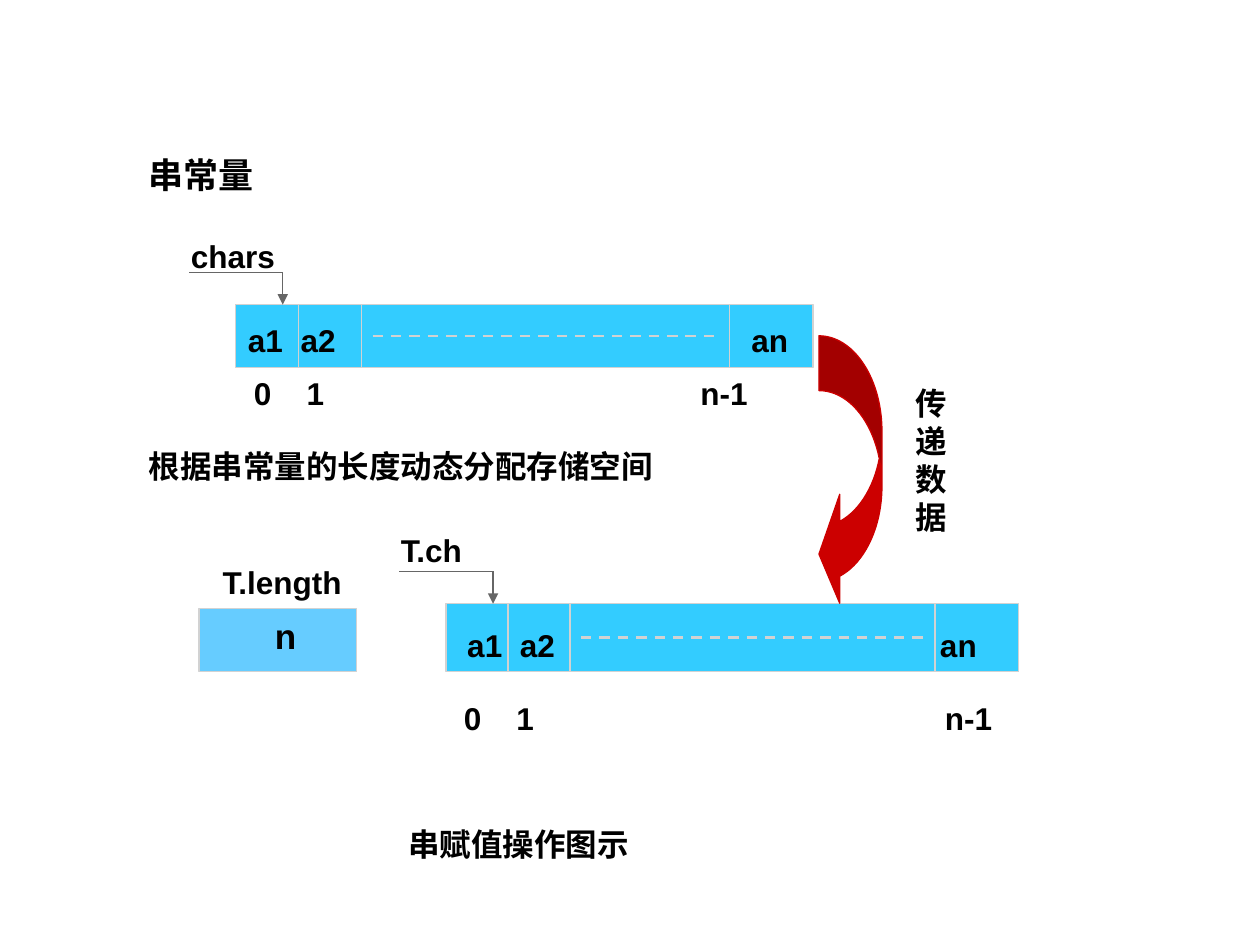
from lxml.etree import SubElement
from pptx import Presentation
from pptx.dml.color import RGBColor
from pptx.enum.dml import MSO_LINE
from pptx.enum.shapes import MSO_CONNECTOR, MSO_SHAPE
from pptx.enum.text import MSO_AUTO_SIZE, PP_ALIGN
from pptx.oxml.ns import qn
from pptx.util import Cm, Pt

BLACK = RGBColor(0x00, 0x00, 0x00)
CYAN = RGBColor(0x33, 0xCC, 0xFF)
BLUE = RGBColor(0x66, 0xCC, 0xFF)
RED = RGBColor(0xCC, 0x00, 0x00)
PALE = RGBColor(0xD2, 0xD2, 0xD2)
GREY = RGBColor(0x66, 0x66, 0x66)
HAN = "Noto Sans CJK SC"

deck = Presentation()
deck.slide_width, deck.slide_height = Cm(25.4), Cm(19.05)
slide = deck.slides.add_slide(deck.slide_layouts[6])
shapes = slide.shapes


def add_line(x1, y1, x2, y2, color, width=0.75):
    line = shapes.add_connector(MSO_CONNECTOR.STRAIGHT, Cm(x1), Cm(y1), Cm(x2), Cm(y2))
    line.line.color.rgb = color
    line.line.width = Pt(width)
    SubElement(line._element.spPr, qn("a:effectLst"))
    return line


def add_shape(kind, x, y, w, h, fill, edge):
    shape = shapes.add_shape(kind, Cm(x), Cm(y), Cm(w), Cm(h))
    shape.shadow.inherit = False
    shape.fill.solid()
    shape.fill.fore_color.rgb = fill
    shape.line.color.rgb = edge
    shape.line.width = Pt(0.75)
    return shape


# Storage bars: left, top, width, height, cell, last divider
bars = [
    (4.75, 6.14, 11.64, 1.27, 1.27, 9.96),
    (8.99, 12.17, 11.55, 1.37, 1.25, 9.86),
]
for x, y, w, h, cell, last in bars:
    add_shape(MSO_SHAPE.RECTANGLE, x, y, w, h, CYAN, PALE)
    for dx in (cell, 2 * cell, last):
        add_line(x + dx, y, x + dx, y + h, PALE)
    mid = y + h / 2
    dash = add_line(x + 2 * cell + 0.22, mid, x + last - 0.21, mid, PALE, 1.5)
    dash.line.dash_style = MSO_LINE.DASH

    # Pointer to the first cell
    tip, bend = x + 0.95, y - 0.65
    add_line(x - 0.94, bend, tip, bend, GREY)
    arrow = add_line(tip, bend, tip, y, GREY)
    SubElement(arrow.line._get_or_add_ln(), qn("a:tailEnd"), type="triangle")

# Length field
add_shape(MSO_SHAPE.RECTANGLE, 4.01, 12.27, 3.18, 1.27, BLUE, PALE)

# Curved arrow from the upper bar to the lower bar
curve = add_shape(MSO_SHAPE.CURVED_LEFT_ARROW, 16.51, 6.77, 1.27, 5.5, RED, RED)
for i, value in enumerate((0.87, 1.73, 0.33)):
    curve.adjustments[i] = value

# Labels: text, left, top, width, height, size, tab stops
labels = [
    ("串常量", 2.75, 2.96, 2.75, 1.11, 20, ()),
    ("根据串常量的长度动态分配存储空间", 2.75, 8.89, 11.85, 1.02, 18, ()),
    ("a1\ta2", 4.75, 6.35, 2.54, 1.02, 18, (1.06,)),
    ("an", 14.9, 6.35, 1.48, 1.02, 18, ()),
    ("chars", 3.6, 4.65, 2.33, 1.02, 18, ()),
    ("0\t1\tn-1", 4.87, 7.41, 11.85, 1.02, 18, (1.06, 9)),
    ("传递数据", 18.2, 7.62, 0.85, 3.3, 18, ()),
    ("T.ch", 7.83, 10.58, 2.31, 1.02, 18, ()),
    ("T.length", 4.24, 11.22, 3.18, 1.02, 18, ()),
    ("0\t1\tn-1", 9.1, 13.97, 11.85, 1.02, 18, (1.06, 9.7)),
    ("a1\ta2\tan", 9.17, 12.49, 11.23, 1.02, 18, (1.06, 9.53)),
    ("串赋值操作图示", 4.5, 16.51, 11.91, 1.02, 18, ()),
    ("n", 5.29, 12.27, 1.06, 1.11, 20, ()),
]
for text, x, y, w, h, size, tabs in labels:
    box = shapes.add_textbox(Cm(x), Cm(y), Cm(w), Cm(h))
    frame = box.text_frame
    frame.word_wrap = True
    frame.auto_size = MSO_AUTO_SIZE.SHAPE_TO_FIT_TEXT
    frame.text = text
    para = frame.paragraphs[0]
    if tabs:
        stops = SubElement(para._p.get_or_add_pPr(), qn("a:tabLst"))
        for tab in tabs:
            SubElement(stops, qn("a:tab"), pos=str(Cm(tab)), algn="l")
    title = text == "串赋值操作图示"
    if title:
        para.alignment = PP_ALIGN.CENTER
    for run in para.runs:
        font = run.font
        font.name = HAN if title else "Arial"
        font.size = Pt(size)
        font.bold = True
        font.color.rgb = BLACK
        SubElement(run._r.get_or_add_rPr(), qn("a:ea"), typeface=HAN)

deck.save("out.pptx")
